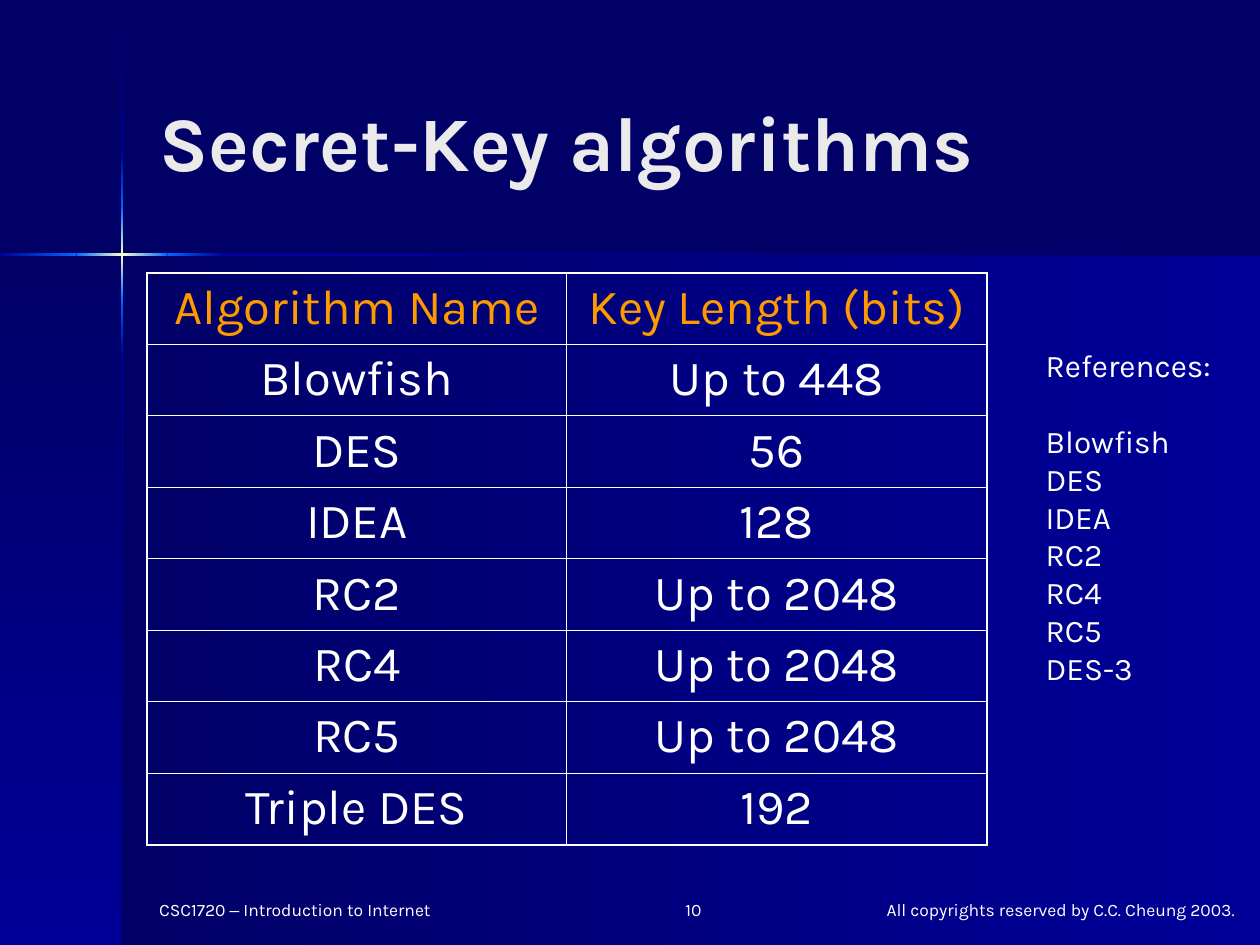
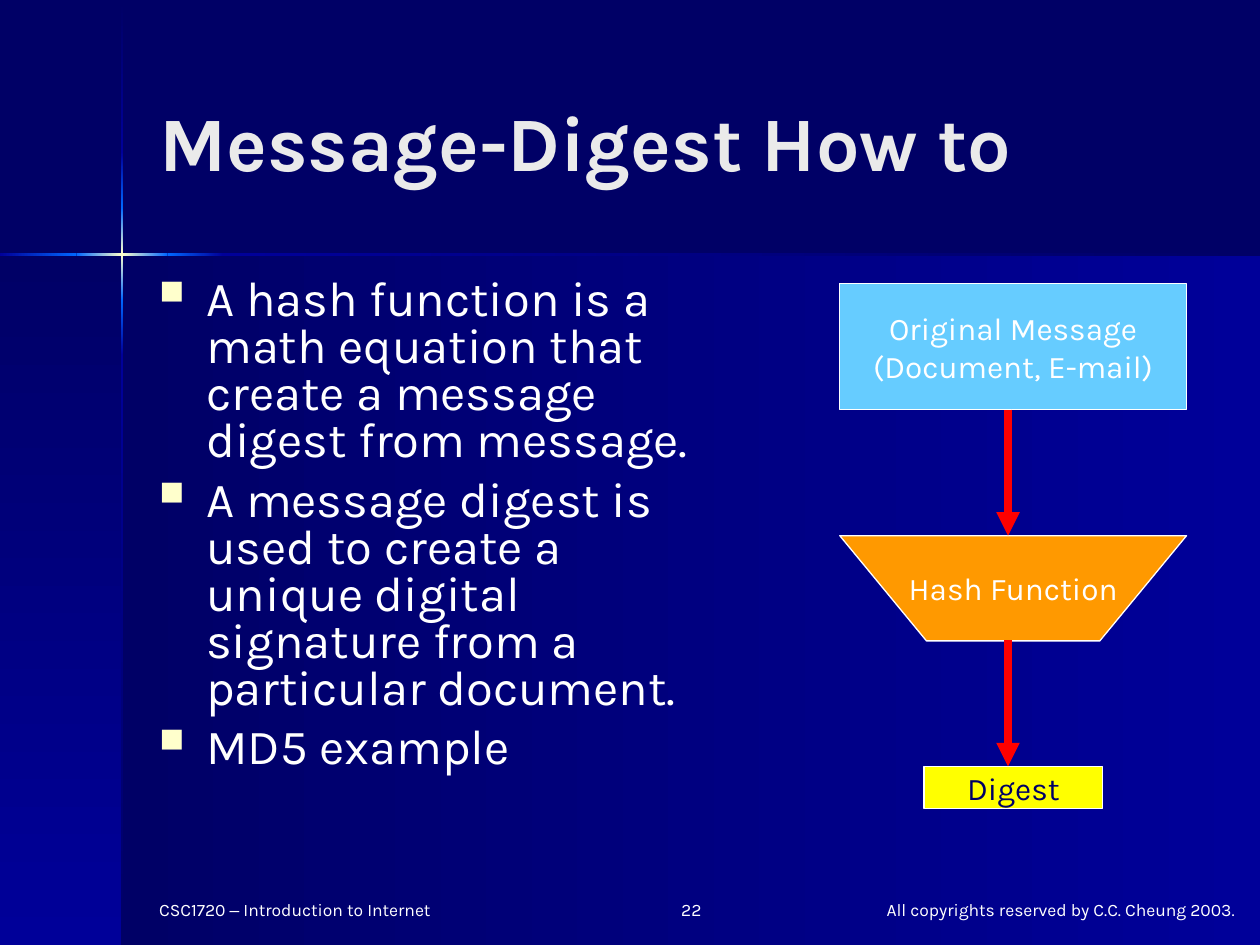
from dataclasses import dataclass
from itertools import pairwise

from lxml.etree import SubElement
from pptx import Presentation
from pptx.dml.color import RGBColor as Rgb
from pptx.enum.shapes import MSO_CONNECTOR as Link, MSO_SHAPE as Form
from pptx.enum.text import MSO_ANCHOR as Anchor, PP_ALIGN as Align
from pptx.oxml.ns import qn
from pptx.util import Cm, Pt


@dataclass(frozen=True)
class Theme:
    navy: str = "000066"
    blue: str = "000099"
    azure: str = "0066FF"
    cream: str = "FFFFCC"
    white: str = "FFFFFF"
    title: str = "EAEAEA"
    orange: str = "FF9900"
    sky: str = "66CCFF"
    yellow: str = "FFFF00"
    red: str = "FF0000"
    font: str = "Karla"
    dash_font: str = "Arial"
    title_size: int = 44
    body_size: int = 28
    label_size: int = 18
    footer_size: int = 10


THEME = Theme()
WIDTH, HEIGHT = 25.4, 19.05
CROSS_X, CROSS_Y = 2.46, 5.13
RAY_WIDTH = 0.05
# Colours of the light ray, from its far end through the bright centre
RAY = [
    (THEME.navy, THEME.blue),
    (THEME.blue, THEME.azure),
    (THEME.azure, THEME.cream, THEME.azure),
    (THEME.azure, THEME.blue),
    (THEME.blue, THEME.navy),
]
RAY_Y = [0.03, 3.07, 4.19, 6.05, 7.16, HEIGHT]
RAY_X = [0, 1.54, 3.38, 4.5, WIDTH]

KEY_LENGTHS = [
    ("Algorithm Name", "Key Length (bits)"),
    ("Blowfish", "Up to 448"),
    ("DES", "56"),
    ("IDEA", "128"),
    ("RC2", "Up to 2048"),
    ("RC4", "Up to 2048"),
    ("RC5", "Up to 2048"),
    ("Triple DES", "192"),
]
REFERENCES = ["Blowfish", "DES", "IDEA", "RC2", "RC4", "RC5", "DES-3"]
DIGEST_POINTS = [
    "A hash function is a math equation that create a message digest from message.",
    "A message digest is used to create a unique digital signature from a particular document.",
    "MD5 example",
]


# Text
def add_bullet(para):
    props = para._p.get_or_add_pPr()
    props.set("marL", str(Cm(0.95)))
    props.set("indent", str(Cm(-0.95)))
    colour = SubElement(props, qn("a:buClr"))
    SubElement(colour, qn("a:srgbClr"), val=THEME.cream)
    SubElement(props, qn("a:buSzPct"), val="70000")
    SubElement(props, qn("a:buChar"), char="■")


def write(frame, lines, size=THEME.label_size, colour=THEME.white, bold=False,
          align=Align.LEFT, anchor=Anchor.TOP, wrap=True, bullets=False,
          spacing=None, gap=0):
    """Fill a frame; each line is a string or a list of (text, font) spans."""
    frame.word_wrap = wrap
    frame.vertical_anchor = anchor
    for index, line in enumerate(lines):
        para = frame.add_paragraph() if index else frame.paragraphs[0]
        para.alignment = align
        if spacing:
            para.line_spacing = spacing
        if index and gap:
            para.space_before = Pt(gap)
        if bullets:
            add_bullet(para)
        spans = [(line, THEME.font)] if isinstance(line, str) else line
        for text, font in spans:
            span = para.add_run()
            span.text = text
            span.font.name = font
            span.font.size = Pt(size)
            span.font.bold = bold
            span.font.color.rgb = Rgb.from_string(colour)


def add_text(page, left, top, width, height, lines, **style):
    box = page.shapes.add_textbox(Cm(left), Cm(top), Cm(width), Cm(height))
    write(box.text_frame, lines, **style)
    return box


# Backdrop, title and footer
def add_gradient(page, left, top, width, height, colours, downward=False):
    panel = page.shapes.add_shape(
        Form.RECTANGLE, Cm(left), Cm(top), Cm(width), Cm(height))
    panel.shadow.inherit = False
    panel.line.fill.background()
    panel.fill.gradient()
    panel.fill.gradient_angle = 270 if downward else 0
    stops = panel._element.spPr.find(qn("a:gradFill")).find(qn("a:gsLst"))
    stops.clear()
    for index, colour in enumerate(colours):
        position = 100000 * index // (len(colours) - 1)
        stop = SubElement(stops, qn("a:gs"), pos=str(position))
        SubElement(stop, qn("a:srgbClr"), val=colour)


def add_backdrop(page):
    page.background.fill.solid()
    page.background.fill.fore_color.rgb = Rgb.from_string(THEME.navy)
    shade = (THEME.navy, THEME.blue)
    depth = HEIGHT - CROSS_Y
    add_gradient(page, CROSS_X, CROSS_Y, WIDTH - CROSS_X, depth, shade)
    add_gradient(page, 0, CROSS_Y, CROSS_X, depth, shade, downward=True)
    for (start, end), colours in zip(pairwise(RAY_Y), RAY):
        add_gradient(page, CROSS_X - RAY_WIDTH / 2, start, RAY_WIDTH,
                     end - start, colours, downward=True)
    for (start, end), colours in zip(pairwise(RAY_X), RAY[1:]):
        add_gradient(page, start, CROSS_Y - RAY_WIDTH / 2, end - start,
                     RAY_WIDTH, colours)


def add_footer(page, number):
    course = [("CSC1720 ", THEME.font), ("–", THEME.dash_font),
              (" Introduction to Internet", THEME.font)]
    notice = "All copyrights reserved by C.C. Cheung 2003."
    for left, width, line, align in [
        (2.96, 6.15, course, Align.LEFT),
        (17.36, 8.04, notice, Align.CENTER),
        (12.7, 1.69, str(number), Align.RIGHT),
    ]:
        add_text(page, left, 17.99, width, 0.62, [line],
                 size=THEME.footer_size, align=align)


def add_page(deck, title, number):
    page = deck.slides.add_slide(deck.slide_layouts[6])
    add_backdrop(page)
    add_footer(page, number)
    add_text(page, 2.96, 0.85, 20.96, 3.98, [title], size=THEME.title_size,
             colour=THEME.title, bold=True, anchor=Anchor.MIDDLE)
    return page


# Table
def set_border(cell, side, weight):
    line = SubElement(cell._tc.get_or_add_tcPr(), qn(f"a:ln{side}"),
                      w=str(Pt(weight)))
    fill = SubElement(line, qn("a:solidFill"))
    SubElement(fill, qn("a:srgbClr"), val=THEME.white)


def add_grid(page, left, top, width, height, rows, inner=0.45, outer=1.08):
    last_row, last_column = len(rows) - 1, len(rows[0]) - 1
    table = page.shapes.add_table(len(rows), len(rows[0]), Cm(left), Cm(top),
                                  Cm(width), Cm(height)).table
    table.first_row = table.horz_banding = False
    for r, row in enumerate(rows):
        for c, text in enumerate(row):
            cell = table.cell(r, c)
            edges = {"L": c == 0, "R": c == last_column,
                     "T": r == 0, "B": r == last_row}
            for side, is_outer in edges.items():
                set_border(cell, side, outer if is_outer else inner)
            cell.fill.background()
            write(cell.text_frame, [text], size=THEME.body_size,
                  colour=THEME.white if r else THEME.orange,
                  align=Align.CENTER)


# Flow diagram
def finish_step(step, lines, fill, colour=THEME.white):
    step.shadow.inherit = False
    step.fill.solid()
    step.fill.fore_color.rgb = Rgb.from_string(fill)
    step.line.color.rgb = Rgb.from_string(THEME.white)
    step.line.width = Pt(0.75)
    write(step.text_frame, lines, colour=colour, align=Align.CENTER,
          anchor=Anchor.MIDDLE, wrap=False)


def add_step(page, left, top, width, height, lines, fill, **style):
    step = page.shapes.add_shape(
        Form.RECTANGLE, Cm(left), Cm(top), Cm(width), Cm(height))
    finish_step(step, lines, fill, **style)


def add_funnel(page, left, top, width, height, lines, fill):
    inset = width / 4
    builder = page.shapes.build_freeform(Cm(left), Cm(top))
    builder.add_line_segments([
        (Cm(left + inset), Cm(top + height)),
        (Cm(left + width - inset), Cm(top + height)),
        (Cm(left + width), Cm(top)),
    ], close=True)
    finish_step(builder.convert_to_shape(), lines, fill)


def add_arrow(page, x, top, bottom):
    arrow = page.shapes.add_connector(
        Link.STRAIGHT, Cm(x), Cm(top), Cm(x), Cm(bottom))
    arrow.line.color.rgb = Rgb.from_string(THEME.red)
    arrow.line.width = Pt(4.5)
    props = arrow._element.spPr
    SubElement(props.find(qn("a:ln")), qn("a:tailEnd"), type="triangle")
    SubElement(props, qn("a:effectLst"))


# Slides
def build_algorithms(deck):
    page = add_page(deck, "Secret-Key algorithms", 10)
    add_grid(page, 2.96, 5.5, 16.93, 11.52, KEY_LENGTHS)
    box = add_text(page, 20.83, 6.86, 3.99, 7.11,
                   ["References:", *REFERENCES], wrap=False)
    box.text_frame.paragraphs[1].space_before = Pt(21.6)


def build_digest(deck):
    page = add_page(deck, "Message-Digest How to", 22)
    add_text(page, 2.96, 5.5, 11.43, 12.07, DIGEST_POINTS,
             size=THEME.body_size, bullets=True, spacing=0.8, gap=7)
    add_funnel(page, 16.93, 10.8, 6.99, 2.12, ["Hash Function"], THEME.orange)
    add_step(page, 16.93, 5.72, 6.99, 2.54,
             ["Original Message", "(Document, E-mail)"], THEME.sky)
    add_step(page, 18.63, 15.45, 3.6, 0.85, ["Digest"], THEME.yellow,
             colour=THEME.navy)
    for top, bottom in [(8.26, 10.8), (12.91, 15.45)]:
        add_arrow(page, 20.32, top, bottom)


def main():
    deck = Presentation()
    deck.slide_width, deck.slide_height = Cm(WIDTH), Cm(HEIGHT)
    build_algorithms(deck)
    build_digest(deck)
    deck.save("out.pptx")


if __name__ == "__main__":
    main()
